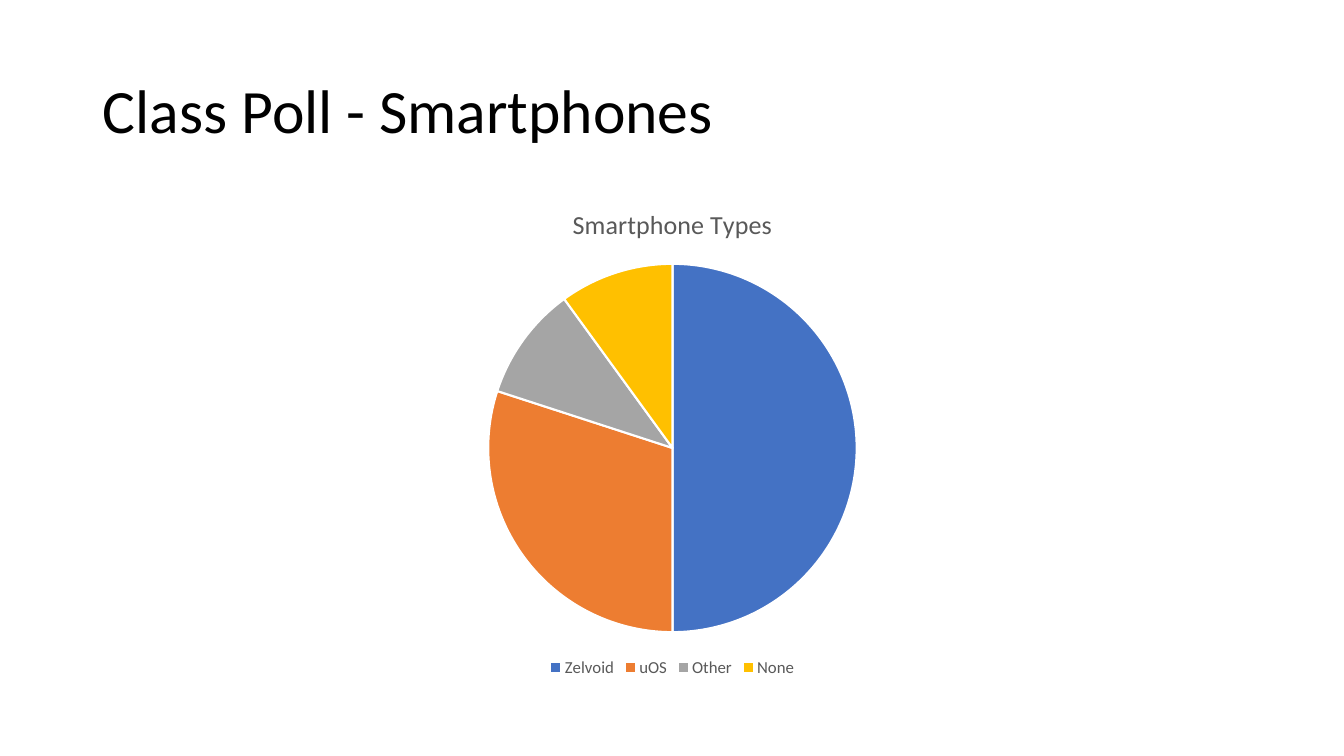
from pptx import Presentation
from pptx.chart.data import CategoryChartData
from pptx.dml.color import RGBColor
from pptx.enum.chart import XL_CHART_TYPE, XL_LEGEND_POSITION
from pptx.enum.text import MSO_ANCHOR, PP_ALIGN
from pptx.util import Inches, Pt

FONT = "Calibri"
BLACK = RGBColor(0x00, 0x00, 0x00)
WHITE = RGBColor(0xFF, 0xFF, 0xFF)
GREY = RGBColor(0x59, 0x59, 0x59)
POLL = [
    ("Zelvoid", 50, RGBColor(0x44, 0x72, 0xC4)),
    ("uOS", 30, RGBColor(0xED, 0x7D, 0x31)),
    ("Other", 10, RGBColor(0xA5, 0xA5, 0xA5)),
    ("None", 10, RGBColor(0xFF, 0xC0, 0x00)),
]


def style_font(font, size, color):
    font.name = FONT
    font.size = Pt(size)
    font.bold = False
    font.color.rgb = color


def set_title(s, text):
    title = s.shapes.title
    title.left, title.top = Inches(0.92), Inches(0.4)
    title.width, title.height = Inches(11.5), Inches(1.45)
    tf = title.text_frame
    tf.text = text
    tf.word_wrap = True
    tf.vertical_anchor = MSO_ANCHOR.MIDDLE
    p = tf.paragraphs[0]
    p.alignment = PP_ALIGN.LEFT
    p.line_spacing = 0.9
    style_font(p.runs[0].font, 44, BLACK)


def add_pie(s, name, slices):
    data = CategoryChartData()
    data.categories = [label for label, _, _ in slices]
    data.add_series(name, [value for _, value, _ in slices])
    chart = s.shapes.add_chart(
        XL_CHART_TYPE.PIE, Inches(1.51), Inches(1.85),
        Inches(10.32), Inches(4.91), data).chart
    style_font(chart.font, 10, BLACK)

    chart.has_title = True
    tf = chart.chart_title.text_frame
    tf.text = name
    style_font(tf.paragraphs[0].runs[0].font, 18.6, GREY)
    chart.chart_title.include_in_layout = False

    chart.has_legend = True
    chart.legend.position = XL_LEGEND_POSITION.BOTTOM
    chart.legend.include_in_layout = False
    style_font(chart.legend.font, 12, GREY)

    plot = chart.plots[0]
    plot.vary_by_categories = True
    for i, (_, _, color) in enumerate(slices):
        fmt = plot.series[0].points[i].format
        fmt.fill.solid()
        fmt.fill.fore_color.rgb = color
        fmt.line.color.rgb = WHITE
        fmt.line.width = Pt(1.5)


def main():
    prs = Presentation()
    prs.slide_width, prs.slide_height = Inches(13.33), Inches(7.5)
    s = prs.slides.add_slide(prs.slide_layouts[5])
    set_title(s, "Class Poll - Smartphones")
    add_pie(s, "Smartphone Types", POLL)
    prs.save("out.pptx")


if __name__ == "__main__":
    main()
